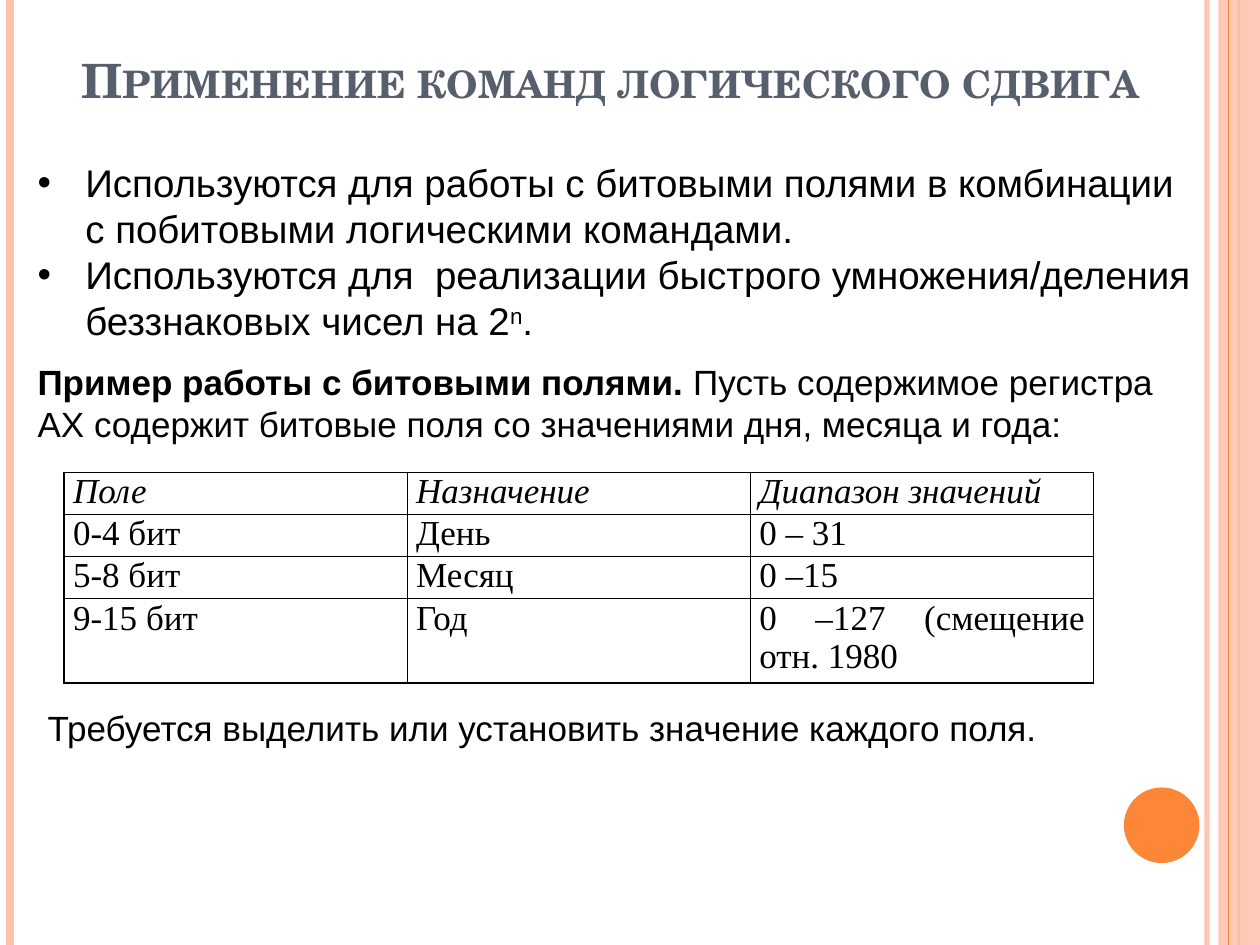
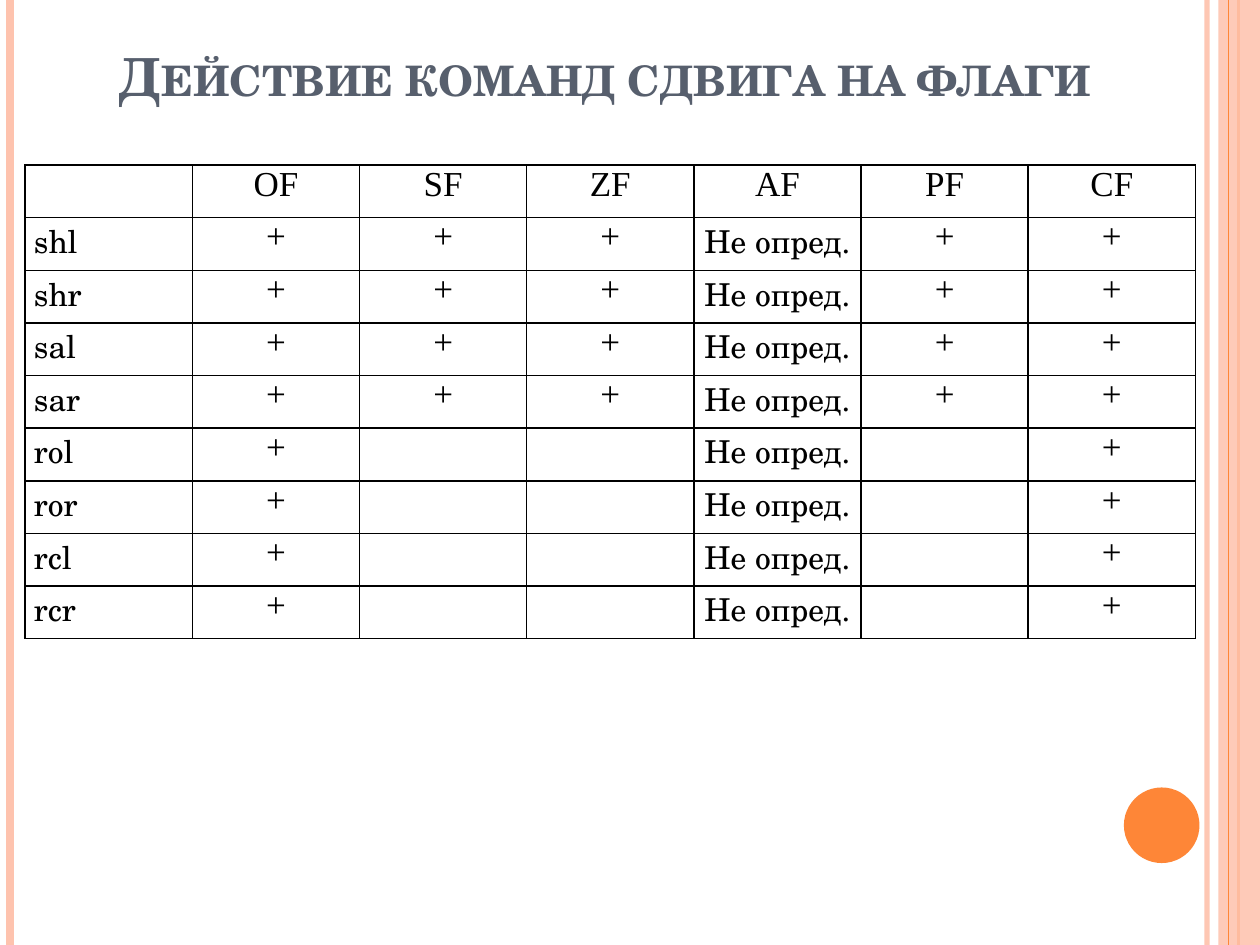
from dataclasses import dataclass

from lxml import etree
from pptx import Presentation, util as u
from pptx.dml.color import RGBColor
from pptx.enum import shapes, text
from pptx.oxml import ns

ALIGN = text.PP_ALIGN


@dataclass(frozen=True)
class Theme:
    orange: str = "FE8637"
    peach: str = "FEC3AE"
    slate: str = "575F6D"
    black: str = "000000"
    serif: str = "TeX Gyre Schola"
    sans: str = "Arial"
    table: str = "Times New Roman"
    bullet: int = 22
    body: int = 20
    label: int = 18


def rgb(color):
    return RGBColor.from_string(color)


def add_xml(parent, tag, **attrs):
    return etree.SubElement(parent, ns.qn(tag), **attrs)


def set_alpha(sp, percent):
    for color in sp._element.spPr.iter(ns.qn("a:srgbClr")):
        add_xml(color, "a:alpha", val=str(percent * 1000))


class Deck:
    def __init__(self, theme):
        self.theme = theme
        self.prs = Presentation()
        self.prs.slide_width, self.prs.slide_height = u.Inches(10), u.Inches(7.5)
        self.s = None

    def slide(self, title, box, size):
        self.s = self.prs.slides.add_slide(self.prs.slide_layouts[5])
        self.decorate()
        self.title(title, box, size)

    def decorate(self):
        t = self.theme
        set_alpha(self.vline(9.58, t.peach, 3), 93)
        self.vline(0.08, t.peach, 4.5)
        self.vline(9.83, t.orange, 1.5)
        set_alpha(self.shape(shapes.MSO_SHAPE.RECTANGLE, (9.67, 0, 0.33, 7.5), t.peach), 87)
        self.vline(9.75, t.orange, 0.75)
        self.shape(shapes.MSO_SHAPE.OVAL, (8.92, 6.25, 0.6, 0.6), t.orange)

    def vline(self, x, color, width):
        """Draw a line down the whole height of the slide."""
        sp = self.s.shapes.add_connector(
            shapes.MSO_CONNECTOR.STRAIGHT, u.Inches(x), 0, u.Inches(x), self.prs.slide_height)
        sp.line.color.rgb = rgb(color)
        sp.line.width = u.Pt(width)
        add_xml(sp._element.spPr, "a:effectLst")
        return sp

    def shape(self, kind, box, color):
        sp = self.s.shapes.add_shape(kind, *map(u.Inches, box))
        sp.shadow.inherit = False
        sp.fill.solid()
        sp.fill.fore_color.rgb = rgb(color)
        sp.line.fill.background()
        return sp

    def font(self, r, name, size, color=None, bold=False, italic=False):
        f = r.font
        f.name, f.size, f.bold, f.italic = name, u.Pt(size), bold, italic
        f.color.rgb = rgb(color or self.theme.black)

    def title(self, words, box, size):
        sp = self.s.shapes.title
        sp.left, sp.top, sp.width, sp.height = map(u.Inches, box)
        tf = sp.text_frame
        tf.text = words
        tf.auto_size = text.MSO_AUTO_SIZE.NONE
        tf.vertical_anchor = text.MSO_ANCHOR.BOTTOM
        p = tf.paragraphs[0]
        p.alignment = ALIGN.CENTER
        self.font(p.runs[0], self.theme.serif, size, self.theme.slate, bold=True)
        p.runs[0]._r.get_or_add_rPr().set("cap", "small")

    def textbox(self, box):
        tf = self.s.shapes.add_textbox(*map(u.Inches, box)).text_frame
        tf.word_wrap = True
        tf.auto_size = text.MSO_AUTO_SIZE.SHAPE_TO_FIT_TEXT
        return tf

    def paragraph(self, tf, *parts, size=None):
        """Fill the empty first paragraph, or add one; return it."""
        p = tf.paragraphs[0] if not tf.text else tf.add_paragraph()
        for words in parts:
            r = p.add_run()
            r.text = words
            self.font(r, self.theme.sans, size or self.theme.body)
        return p

    def bullet(self, tf, *parts):
        p = self.paragraph(tf, *parts, size=self.theme.bullet)
        pPr = p._p.get_or_add_pPr()
        indent = u.Inches(0.38)
        pPr.set("marL", str(indent))
        pPr.set("indent", str(-indent))
        add_xml(pPr, "a:buFont", typeface=self.theme.sans)
        add_xml(pPr, "a:buChar", char="•")
        return p

    def borders(self, cell):
        tcPr = cell._tc.get_or_add_tcPr()
        for side in "LRTB":
            ln = add_xml(tcPr, f"a:ln{side}", w=str(u.Pt(1)))
            add_xml(add_xml(ln, "a:solidFill"), "a:srgbClr", val=self.theme.black)

    def table(self, box, rows, heights, style):
        """style(row, column) gives the alignment, font, size and italic of a cell."""
        left, top, width, height = map(u.Inches, box)
        n = len(rows[0])
        tbl = self.s.shapes.add_table(len(rows), n, left, top, width, height).table
        tbl.first_row = tbl.horz_banding = False
        for col in tbl.columns:
            col.width = width // n
        for i, row in enumerate(rows):
            tbl.rows[i].height = height * heights[i] // sum(heights)
            for j, words in enumerate(row):
                cell = tbl.cell(i, j)
                self.borders(cell)
                cell.fill.background()
                cell.margin_left = cell.margin_right = u.Inches(0.07)
                cell.margin_top = cell.margin_bottom = 0
                if not words:
                    continue
                align, name, size, italic = style(i, j)
                cell.text = words
                p = cell.text_frame.paragraphs[0]
                p.alignment = align
                self.font(p.runs[0], name, size, italic=italic)


def bit_fields(deck):
    t = deck.theme
    deck.slide("Применение команд логического сдвига", (0.2, 0.14, 9.29, 0.77), 27)
    tf = deck.textbox((0.2, 1.21, 9.37, 2.39))
    deck.bullet(tf, "Используются для работы с битовыми полями в комбинации "
                    "с побитовыми логическими командами.")
    p = deck.bullet(tf, "Используются для  реализации быстрого умножения/деления "
                        "беззнаковых чисел на 2", "n", ".")
    p.runs[1]._r.get_or_add_rPr().set("baseline", "30000")
    p = deck.paragraph(tf, "Пример работы с битовыми полями. ",
                       "Пусть содержимое регистра AX содержит битовые поля "
                       "со значениями дня, месяца и года:")
    p.space_before = u.Pt(10)
    p.runs[0].font.bold = True

    fields = [("Поле", "Назначение", "Диапазон значений"),
              ("0-4 бит", "День", "0 – 31"),
              ("5-8 бит", "Месяц", "0 –15"),
              ("9-15 бит", "Год", "0 –127 (смещение отн. 1980")]
    deck.table((0.51, 3.75, 8.17, 1.67), fields, (1, 1, 1, 2),
               lambda i, j: (ALIGN.JUSTIFY, t.table, t.body, i == 0))
    deck.paragraph(deck.textbox((0.28, 5.56, 9.13, 0.44)),
                   "Требуется выделить или установить значение каждого поля.")


def flags(deck):
    t = deck.theme
    deck.slide("Действие команд сдвига на флаги", (0.12, 0.21, 9.37, 0.69), 30)
    undefined = "Не опред."
    shift = ("+", "+", "+", undefined, "+", "+")
    rotate = ("+", "", "", undefined, "", "+")
    rows = [("", "OF", "SF", "ZF", "AF", "PF", "CF")]
    rows += [(name, *shift) for name in ("shl", "shr", "sal", "sar")]
    rows += [(name, *rotate) for name in ("rol", "ror", "rcl", "rcr")]

    def style(i, j):
        align = ALIGN.CENTER if j else ALIGN.JUSTIFY
        if i and rows[i][j] != "+":
            return align, t.serif, t.label, False
        return align, t.table, t.body, False

    deck.table((0.2, 1.31, 9.29, 3.76), rows, [1] * len(rows), style)


def main():
    deck = Deck(Theme())
    bit_fields(deck)
    flags(deck)
    deck.prs.save("out.pptx")


if __name__ == "__main__":
    main()
